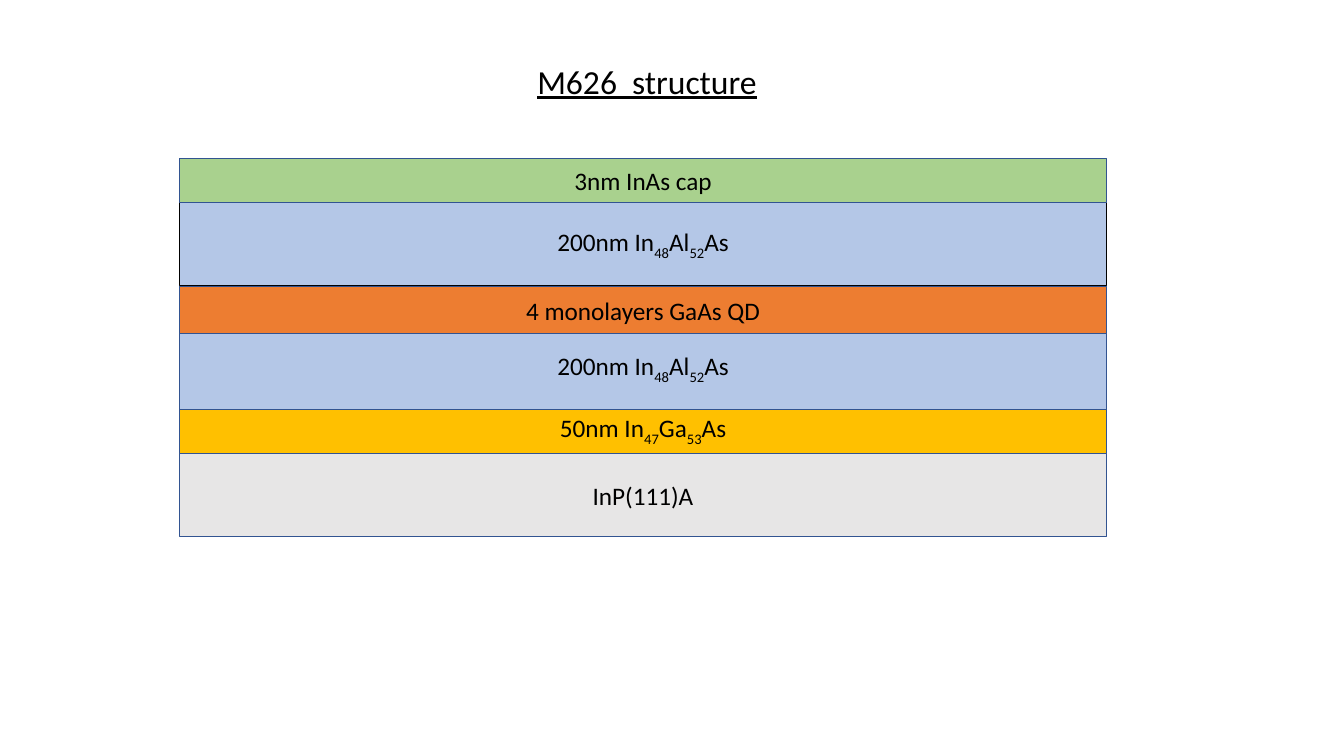
import pptx
import pptx.util
import pptx.dml.color
import pptx.enum.shapes
import pptx.enum.text

Pt = pptx.util.Pt
HUES = {
    "ink": "000000",
    "edge": "325491",
    "base": "E7E6E6",
    "buffer": "FFC000",
    "barrier": "B4C7E7",
    "dots": "ED7D31",
    "cap": "A9D18E",
}
ALLOY = ("200nm In", "48", "Al", "52", "As")
LAYERS = [
    (210.96, 59.04, "base", "edge", ("InP(111)A",)),
    (177.12, 33.84, "buffer", "edge", ("50nm In", "47", "Ga", "53", "As")),
    (120.24, 59.04, "barrier", "edge", ALLOY),
    (91.44, 33.84, "dots", "edge", ("4 monolayers GaAs QD",)),
    (31.68, 59.04, "barrier", "ink", ALLOY),
    (0, 31.68, "cap", "edge", ("3nm InAs cap",)),
]


def color(name):
    """Return the named colour."""
    return pptx.dml.color.RGBColor.from_string(HUES[name])


def add_run(para, text, size):
    """Append a run in the slide's font and return it."""
    run = para.add_run()
    run.text = text
    run.font.name = "Calibri"
    run.font.size = Pt(size)
    run.font.color.rgb = color("ink")
    return run


def add_title(slide, left, top, width, height):
    """Place the underlined title in the given box."""
    title = slide.shapes.title
    title.left, title.top = Pt(left), Pt(top)
    title.width, title.height = Pt(width), Pt(height)
    frame = title.text_frame
    frame.word_wrap = False
    frame.auto_size = pptx.enum.text.MSO_AUTO_SIZE.SHAPE_TO_FIT_TEXT
    frame.vertical_anchor = pptx.enum.text.MSO_ANCHOR.TOP
    para = frame.paragraphs[0]
    para.alignment = pptx.enum.text.PP_ALIGN.LEFT
    para.line_spacing = 1.0
    para.space_before = Pt(0)
    add_run(para, "M626  structure", 24).font.underline = True


def add_stack(slide, left, top, width):
    """Draw the layers from the substrate up, with every second run a subscript."""
    for drop, height, fill, edge, parts in LAYERS:
        layer = slide.shapes.add_shape(
            pptx.enum.shapes.MSO_SHAPE.RECTANGLE,
            Pt(left), Pt(top + drop), Pt(width), Pt(height))
        layer.shadow.inherit = False
        layer.fill.solid()
        layer.fill.fore_color.rgb = color(fill)
        layer.line.color.rgb = color(edge)
        layer.line.width = Pt(1)
        frame = layer.text_frame
        frame.vertical_anchor = pptx.enum.text.MSO_ANCHOR.MIDDLE
        para = frame.paragraphs[0]
        para.alignment = pptx.enum.text.PP_ALIGN.CENTER
        for index, part in enumerate(parts):
            run = add_run(para, part, 18)
            if index % 2:
                run.font._element.set("baseline", "-25000")


def main():
    """Build and save the slide."""
    deck = pptx.Presentation()
    deck.slide_width, deck.slide_height = Pt(960), Pt(540)
    slide = deck.slides.add_slide(deck.slide_layouts[5])
    add_title(slide, 376.56, 39.6, 172.8, 36)
    add_stack(slide, 128.16, 113.04, 662.4)
    deck.save("out.pptx")


if __name__ == "__main__":
    main()
